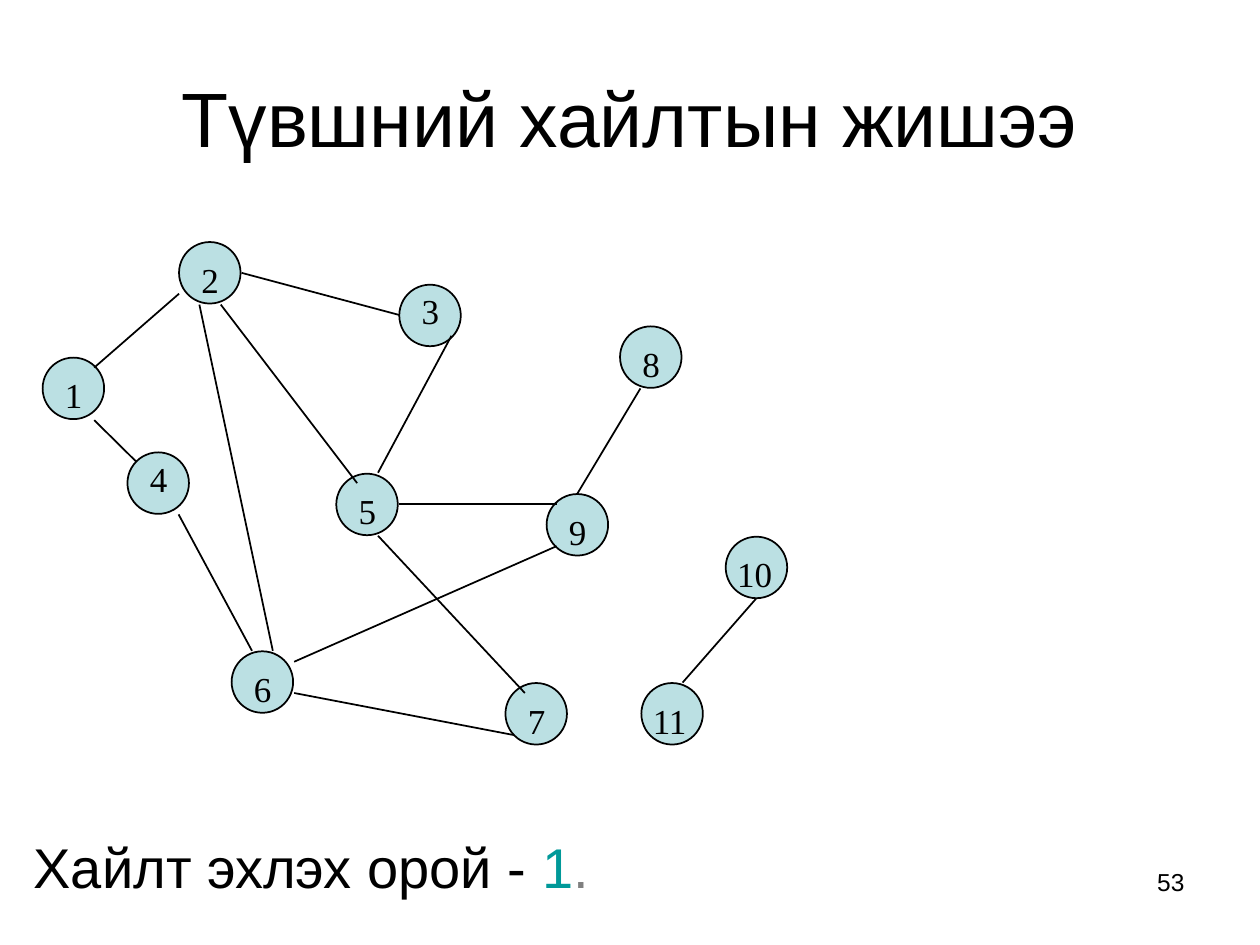
from lxml import etree
from pptx import Presentation
from pptx.dml.color import RGBColor
from pptx.enum.shapes import MSO_CONNECTOR as CONN, MSO_SHAPE as SHAPE
from pptx.enum.text import MSO_ANCHOR as ANCHOR, MSO_AUTO_SIZE as AUTO, PP_ALIGN as ALIGN
from pptx.oxml.ns import qn
from pptx.util import Cm, Pt


def rgb(color):
    return RGBColor.from_string(color)


def write(sp, runs, size, font="Arial", align=ALIGN.LEFT, anchor=ANCHOR.TOP):
    tf = sp.text_frame
    tf.word_wrap = True
    tf.auto_size = AUTO.NONE
    tf.vertical_anchor = anchor
    p = tf.paragraphs[0]
    p.alignment = align
    for text, color in runs:
        r = p.add_run()
        r.text = text
        r.font.name = font
        r.font.size = Pt(size)
        r.font.color.rgb = rgb(color)


BLACK = "000000"
DIAMETER = Cm(1.24)

prs = Presentation()
prs.slide_width, prs.slide_height = Cm(25.4), Cm(19.05)
s = prs.slides.add_slide(prs.slide_layouts[5])

title = s.shapes.title
title.left, title.top, title.width, title.height = Cm(1.27), Cm(0.76), Cm(22.86), Cm(3.18)
write(title, [("Түвшний хайлтын жишээ", BLACK)], 44, align=ALIGN.CENTER, anchor=ANCHOR.MIDDLE)

start = s.shapes.add_textbox(Cm(0.43), Cm(16.66), Cm(21.59), Cm(1.98))
write(start, [("Хайлт эхлэх орой - ", BLACK), ("1", "009999"), (".", "808080")], 32)

# number: left, top, label offset right, label offset down, label width
nodes = {
    "1": (0.86, 7.21, 0.2, 0.2, 0.64),
    "2": (3.61, 4.88, 0.2, 0.2, 0.64),
    "3": (8.05, 5.74, 0.2, -0.02, 0.64),
    "4": (2.57, 9.12, 0.2, -0.02, 0.64),
    "5": (6.78, 9.55, 0.2, 0.2, 0.64),
    "6": (4.67, 13.13, 0.2, 0.2, 0.64),
    "7": (10.19, 13.77, 0.2, 0.2, 0.64),
    "8": (12.5, 6.58, 0.2, 0.2, 0.64),
    "9": (11.02, 9.96, 0.2, 0.2, 0.64),
    "10": (14.63, 10.82, -0.02, 0.2, 1.27),
    "11": (12.93, 13.77, -0.02, 0.2, 2.11),
}
for x, y, dx, dy, w in nodes.values():
    sp = s.shapes.add_shape(SHAPE.OVAL, Cm(x), Cm(y), DIAMETER, DIAMETER)
    sp.shadow.inherit = False
    sp.fill.solid()
    sp.fill.fore_color.rgb = rgb("BBE0E3")
    sp.line.color.rgb = rgb(BLACK)
    sp.line.width = Pt(1)

edges = [
    (3.61, 5.92, 1.9, 7.41),
    (4.45, 6.14, 7.2, 9.74),
    (1.9, 8.47, 2.75, 9.31),
    (3.6, 10.37, 5.08, 13.12),
    (5.93, 13.97, 10.37, 14.82),
    (9.1, 6.77, 7.62, 9.53),
    (7.62, 10.8, 10.58, 13.97),
    (12.91, 7.83, 11.64, 9.95),
    (13.76, 13.76, 15.24, 12.07),
    (8.04, 10.16, 11.22, 10.16),
    (4.87, 5.5, 8.05, 6.35),
    (4.02, 6.14, 5.5, 13.12),
    (5.93, 13.34, 11.22, 11.01),
]
for edge in edges:
    line = s.shapes.add_connector(CONN.STRAIGHT, *[Cm(v) for v in edge])
    line.line.color.rgb = rgb(BLACK)
    line.line.width = Pt(1)
    etree.SubElement(line._element.spPr, qn("a:effectLst"))

for number, (x, y, dx, dy, w) in nodes.items():
    label = s.shapes.add_textbox(Cm(x + dx), Cm(y + dy), Cm(w), Cm(1.09))
    write(label, [(number, BLACK)], 20, "Times New Roman")

page = s.shapes.add_textbox(Cm(18.21), Cm(17.35), Cm(5.92), Cm(1.32))
write(page, [("53", BLACK)], 14, align=ALIGN.RIGHT)

prs.save("out.pptx")
